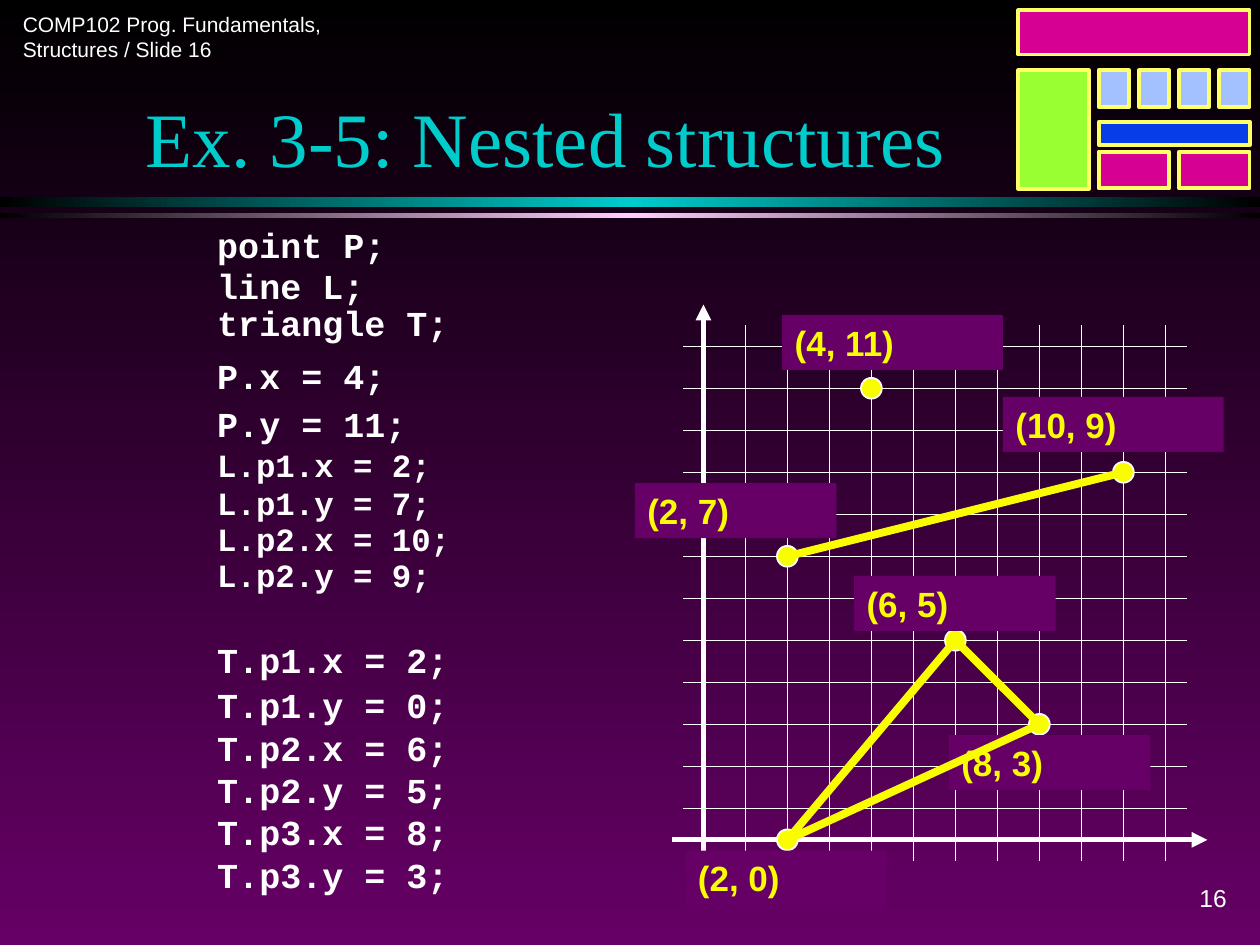
from copy import deepcopy
from pptx import Presentation
from pptx.dml.color import RGBColor
from pptx.enum.shapes import MSO_CONNECTOR, MSO_SHAPE
from pptx.enum.text import MSO_ANCHOR, PP_ALIGN
from pptx.oxml.ns import qn
from pptx.oxml.xmlchemy import OxmlElement
from pptx.util import Cm, Pt

RECT, OVAL, STRAIGHT = MSO_SHAPE.RECTANGLE, MSO_SHAPE.OVAL, MSO_CONNECTOR.STRAIGHT
LEFT, CENTER, RIGHT = PP_ALIGN.LEFT, PP_ALIGN.CENTER, PP_ALIGN.RIGHT
MIDDLE, BOTTOM = MSO_ANCHOR.MIDDLE, MSO_ANCHOR.BOTTOM
BLACK = RGBColor(0x00, 0x00, 0x00)
WHITE = RGBColor(0xFF, 0xFF, 0xFF)
PURPLE = RGBColor(0x66, 0x00, 0x66)
TEAL = RGBColor(0x00, 0xCC, 0xCC)
PINK = RGBColor(0xFF, 0xCC, 0xFF)
YELLOW = RGBColor(0xFA, 0xFD, 0x00)
CREAM = RGBColor(0xFF, 0xFF, 0x66)
MAGENTA = RGBColor(0xD6, 0x00, 0x93)
LIME = RGBColor(0x99, 0xFF, 0x33)
SKY = RGBColor(0xA2, 0xC1, 0xFE)
BLUE = RGBColor(0x06, 0x3D, 0xE8)

prs = Presentation()
prs.slide_width, prs.slide_height = Cm(25.4), Cm(19.05)
slide = prs.slides.add_slide(prs.slide_layouts[6])
shapes = slide.shapes


def add_block(kind, box, fill, outline=None, weight=1):
    block = shapes.add_shape(kind, *map(Cm, box))
    block.shadow.inherit = False
    block.fill.solid()
    block.fill.fore_color.rgb = fill
    if outline is None:
        block.line.fill.background()
    else:
        block.line.color.rgb = outline
        block.line.width = Pt(weight)
    return block


def add_line(start, end, color, weight, arrow=False):
    line = shapes.add_connector(STRAIGHT, *map(Cm, (*start, *end)))
    line.line.color.rgb = color
    line.line.width = Pt(weight)
    if arrow:
        head = OxmlElement("a:tailEnd")
        head.set("type", "triangle")
        line.line._get_or_add_ln().append(head)
    line._element.spPr.append(OxmlElement("a:effectLst"))


backdrop = slide.background.fill
backdrop.gradient()
backdrop.gradient_angle = 270
for stop, color in zip(backdrop.gradient_stops, (BLACK, PURPLE)):
    stop.color.rgb = color

for top, height, glow in ((3.97, 0.21, TEAL), (4.29, 0.1, PINK)):
    band = add_block(RECT, (0, top, 25.4, height), BLACK)
    band.fill.gradient()
    band.fill.gradient_angle = 0
    stops = band._element.spPr.find(qn("a:gradFill")).find(qn("a:gsLst"))
    stops.insert(1, deepcopy(stops[0]))
    for stop, position, color in zip(band.fill.gradient_stops, (0, 0.5, 1), (BLACK, glow, BLACK)):
        stop.position = position
        stop.color.rgb = color

headings = [
    ("COMP102 Prog. Fundamentals, Structures / Slide 16", (0.21, 0.21, 6.99, 1.07),
     LEFT, WHITE, {"vertical_anchor": MIDDLE, "word_wrap": False},
     {"name": "Arial", "size": Pt(12)}),
    ("16", (21.59, 17.36, 3.39, 1.48),
     RIGHT, WHITE, {"vertical_anchor": MIDDLE, "word_wrap": True},
     {"name": "Arial", "size": Pt(14)}),
    ("Ex. 3-5: Nested structures", (1.69, 0.64, 18.63, 3.18),
     CENTER, TEAL, {"vertical_anchor": BOTTOM, "word_wrap": True},
     {"name": "Times New Roman", "size": Pt(44)}),
]
for text, box, alignment, color, frame_format, font_format in headings:
    frame = shapes.add_textbox(*map(Cm, box)).text_frame
    for name, value in frame_format.items():
        setattr(frame, name, value)
    paragraph = frame.paragraphs[0]
    paragraph.alignment = alignment
    run = paragraph.add_run()
    run.text = text
    run.font.color.rgb = color
    for name, value in font_format.items():
        setattr(run.font, name, value)

CELL = 25.4 / 30
ORIGIN_X, ORIGIN_Y = 14.18, 16.93
column_x = [ORIGIN_X + column * CELL for column in range(12)]
row_y = [ORIGIN_Y] + [ORIGIN_Y - (row - 0.25) * CELL for row in range(1, 13)]

add_line((13.55, ORIGIN_Y), (24.34, ORIGIN_Y), WHITE, 3, True)
for y in row_y[1:]:
    add_line((13.77, y), (23.93, y), WHITE, 0.25)
for x in column_x[1:]:
    add_line((x, 17.36), (x, 6.56), WHITE, 0.25)
add_line((ORIGIN_X, 17.57), (ORIGIN_X, 6.14), WHITE, 3, True)

DOT = 0.42
labels = {
    (4, 11): (15.77, 6.35, 4.45),
    (2, 7): (12.8, 9.74, 4.06),
    (10, 9): (20.22, 8, 4.45),
    (6, 5): (17.22, 11.61, 4.06),
    (2, 0): (13.82, 17.15, 4.06),
    (8, 3): (19.13, 14.82, 4.06),
}
for x, y in labels:
    add_block(OVAL, (column_x[x] - DOT / 2, row_y[y] - DOT / 2, DOT, DOT), YELLOW, WHITE)

edges = [((2, 7), (10, 9)), ((2, 0), (6, 5)), ((6, 5), (8, 3)), ((2, 0), (8, 3))]
ends = [[(column_x[x], row_y[y]) for x, y in edge] for edge in edges]
for start, end in ends[:-1]:
    add_line(start, end, YELLOW, 4.5)

label_font = {"name": "Arial", "size": Pt(20), "bold": True}
for (x, y), box in labels.items():
    frame = add_block(RECT, (*box, 1.11), PURPLE).text_frame
    frame.word_wrap = True
    frame.vertical_anchor = MSO_ANCHOR.TOP
    paragraph = frame.paragraphs[0]
    paragraph.alignment = LEFT
    run = paragraph.add_run()
    run.text = f"({x}, {y})"
    run.font.color.rgb = YELLOW
    for name, value in label_font.items():
        setattr(run.font, name, value)
add_line(*ends[-1], YELLOW, 4.5)

TILE_X = [22.15 + 0.81 * tile for tile in range(4)]
tiles = [
    ((20.53, 0.21, 4.66, 0.89), MAGENTA),
    ((20.53, 1.42, 1.42, 2.39), LIME),
    *[((x, 1.42, 0.61, 0.74), SKY) for x in TILE_X],
    ((TILE_X[0], 2.46, 3.05, 0.46), BLUE),
    *[((x, 3.06, 1.42, 0.74), MAGENTA) for x in TILE_X[::2]],
]
for box, color in tiles:
    add_block(RECT, box, color, CREAM, 2.25)

listings = [
    ((3.18, 4.23, 6.56, 5.08), 0.9, 20, (28, 24, 20),
     ["point P;\nline L;\ntriangle T;", "P.x = 4;", "P.y = 11;"]),
    ((3.18, 8.89, 6.77, 4.02), 0.7, 18.5, (25.9, 18.5, 18.5, 18.5),
     ["L.p1.x = 2;", "L.p1.y = 7;", "L.p2.x = 10;", "L.p2.y = 9;"]),
    ((3.18, 12.7, 6.56, 5.93), 0.8, 20, (28, 20, 20, 20, 20, 20),
     ["T.p1.x = 2;", "T.p1.y = 0;", "T.p2.x = 6;", "T.p2.y = 5;", "T.p3.x = 8;", "T.p3.y = 3;"]),
]
for box, spacing, size, tab_sizes, statements in listings:
    frame = shapes.add_textbox(*map(Cm, box)).text_frame
    frame.word_wrap = True
    for index, (statement, tab_size) in enumerate(zip(statements, tab_sizes)):
        paragraph = frame.add_paragraph() if index else frame.paragraphs[0]
        paragraph.line_spacing = spacing
        paragraph.space_before = Pt(5 if index else 0)
        properties = paragraph._p.get_or_add_pPr()
        properties.set("marL", str(Cm(0.95)))
        properties.set("indent", str(Cm(-0.95)))
        tab_font = {"name": "Courier New" if index else "Arial", "size": Pt(tab_size), "bold": index > 0}
        code_font = {"name": "Courier New", "size": Pt(size), "bold": True}
        pieces = [("\t", tab_font)] + [(code, code_font) for code in statement.split("\n")]
        for order, (text, font_format) in enumerate(pieces):
            if order > 1:
                paragraph.add_line_break()
            run = paragraph.add_run()
            run.text = text
            run.font.color.rgb = WHITE
            for name, value in font_format.items():
                setattr(run.font, name, value)

prs.save("out.pptx")
